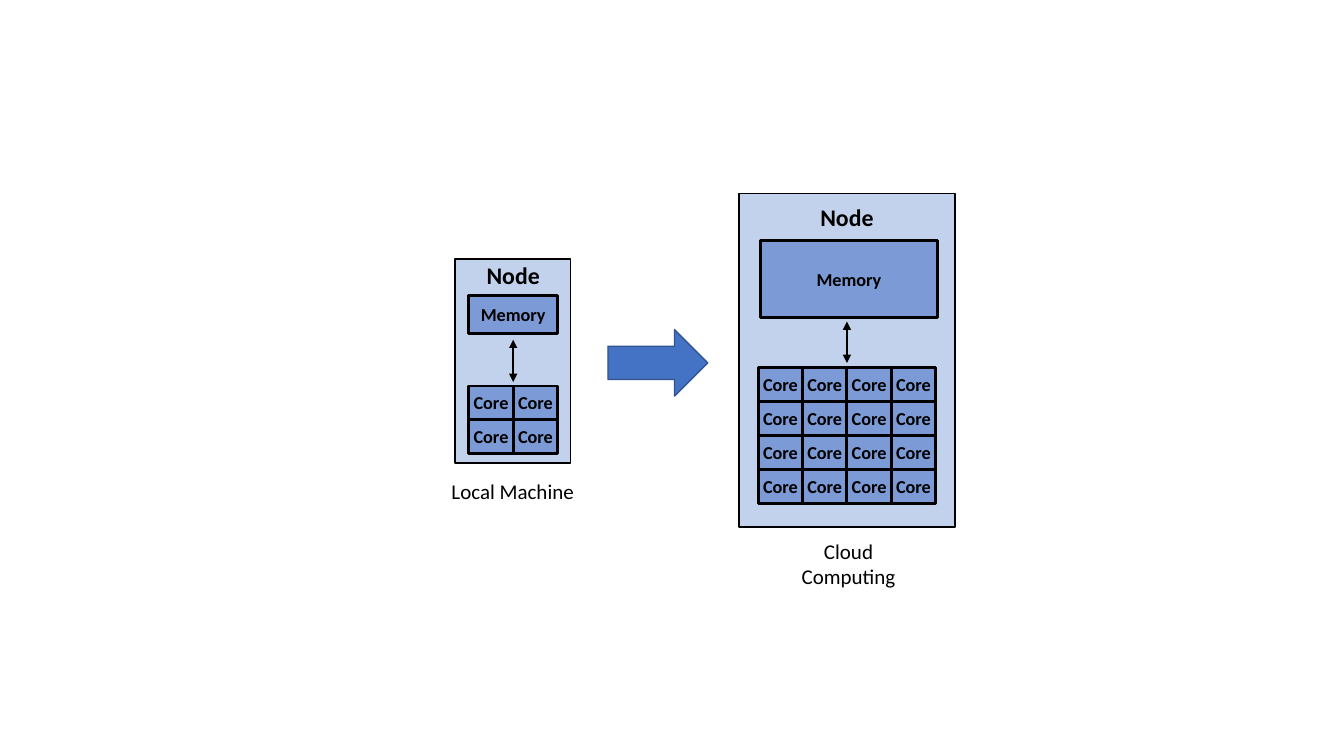
import pptx
import pptx.dml.color
import pptx.enum.shapes
import pptx.enum.text
import pptx.oxml.ns
import pptx.util
from lxml import etree

Inches = pptx.util.Inches
RGBColor = pptx.dml.color.RGBColor
Shapes = pptx.enum.shapes.MSO_SHAPE
Anchor = pptx.enum.text.MSO_ANCHOR

BLACK = RGBColor(0x00, 0x00, 0x00)
NODE_FILL = RGBColor(0xC3, 0xD2, 0xEC)
UNIT_FILL = RGBColor(0x7C, 0x9B, 0xD6)
ARROW_FILL = RGBColor(0x44, 0x72, 0xC4)
ARROW_LINE = RGBColor(0x32, 0x54, 0x91)

CORE_WIDTH, CORE_HEIGHT = 0.44, 0.33
CORE_ROW_PITCH = 1.35 / 4
LABEL_WIDTH = 0.79
CAPTION_WIDTH = 1.35


def write_text(shape, text, *, size, bold=False, anchor=Anchor.TOP, font="Calibri"):
    frame = shape.text_frame
    frame.word_wrap = True
    frame.vertical_anchor = anchor
    frame.margin_left = frame.margin_right = Inches(0.01)
    frame.margin_top = frame.margin_bottom = Inches(0.01)
    paragraph = frame.paragraphs[0]
    paragraph.alignment = pptx.enum.text.PP_ALIGN.CENTER
    run = paragraph.add_run()
    run.text = text
    run.font.name = font
    run.font.size = pptx.util.Pt(size)
    run.font.bold = bold
    run.font.color.rgb = BLACK


class NodeDiagram:
    """Draws compute nodes and their units on one slide."""

    def __init__(self, slide):
        self.slide = slide

    def box(self, left, top, width, height, fill, line_width, line=BLACK, kind=Shapes.RECTANGLE):
        shape = self.slide.shapes.add_shape(
            kind, Inches(left), Inches(top), Inches(width), Inches(height))
        shape.shadow.inherit = False
        shape.fill.solid()
        shape.fill.fore_color.rgb = fill
        shape.line.color.rgb = line
        shape.line.width = pptx.util.Pt(line_width)
        return shape

    def unit(self, text, left, top, width, height):
        shape = self.box(left, top, width, height, UNIT_FILL, 2)
        write_text(shape, text, size=13, bold=True, anchor=Anchor.MIDDLE)

    def label(self, text, left, top, width, height, size, bold=False):
        shape = self.slide.shapes.add_textbox(
            Inches(left), Inches(top), Inches(width), Inches(height))
        write_text(shape, text, size=size, bold=bold)
        shape.text_frame.auto_size = pptx.enum.text.MSO_AUTO_SIZE.SHAPE_TO_FIT_TEXT

    def double_arrow(self, x, top, bottom):
        connector = self.slide.shapes.add_connector(
            pptx.enum.shapes.MSO_CONNECTOR.STRAIGHT,
            Inches(x), Inches(top), Inches(x), Inches(bottom))
        connector.line.color.rgb = BLACK
        connector.line.width = pptx.util.Pt(1.5)
        properties = connector.element.spPr
        line = properties.find(pptx.oxml.ns.qn("a:ln"))
        for end in ("a:headEnd", "a:tailEnd"):
            etree.SubElement(line, pptx.oxml.ns.qn(end), type="triangle")
        etree.SubElement(properties, pptx.oxml.ns.qn("a:effectLst"))

    def core_grid(self, left, top, count):
        for row in range(count):
            for column in range(count):
                self.unit("Core", left + column * CORE_WIDTH, top + row * CORE_ROW_PITCH,
                          CORE_WIDTH, CORE_HEIGHT)

    def node(self, frame, memory, cores, arrow, title_top, caption, caption_box):
        self.box(*frame, NODE_FILL, 1.25)
        self.core_grid(*cores)
        self.double_arrow(*arrow)
        self.unit("Memory", *memory)
        center = arrow[0]
        self.label("Node", center - LABEL_WIDTH / 2, title_top, LABEL_WIDTH, 0.31, 17, bold=True)
        left, top, height = caption_box
        self.label(caption, left, top, CAPTION_WIDTH, height, 15)


def main():
    presentation = pptx.Presentation()
    presentation.slide_width = Inches(13.33)
    presentation.slide_height = Inches(7.5)
    diagram = NodeDiagram(presentation.slides.add_slide(presentation.slide_layouts[6]))
    diagram.node(frame=(7.33, 1.92, 2.14, 3.31), memory=(7.54, 2.39, 1.76, 0.76),
                 cores=(7.52, 3.65, 4), arrow=(8.4, 3.19, 3.6), title_top=2,
                 caption="Cloud Computing", caption_box=(7.74, 5.33, 0.53))
    diagram.node(frame=(4.51, 2.57, 1.15, 2.02), memory=(4.65, 2.93, 0.88, 0.38),
                 cores=(4.65, 3.83, 2), arrow=(5.09, 3.37, 3.79), title_top=2.58,
                 caption="Local Machine", caption_box=(4.41, 4.74, 0.27))
    diagram.box(6.03, 3.27, 0.99, 0.66, ARROW_FILL, 1, ARROW_LINE, Shapes.RIGHT_ARROW)
    presentation.save("out.pptx")


if __name__ == "__main__":
    main()
